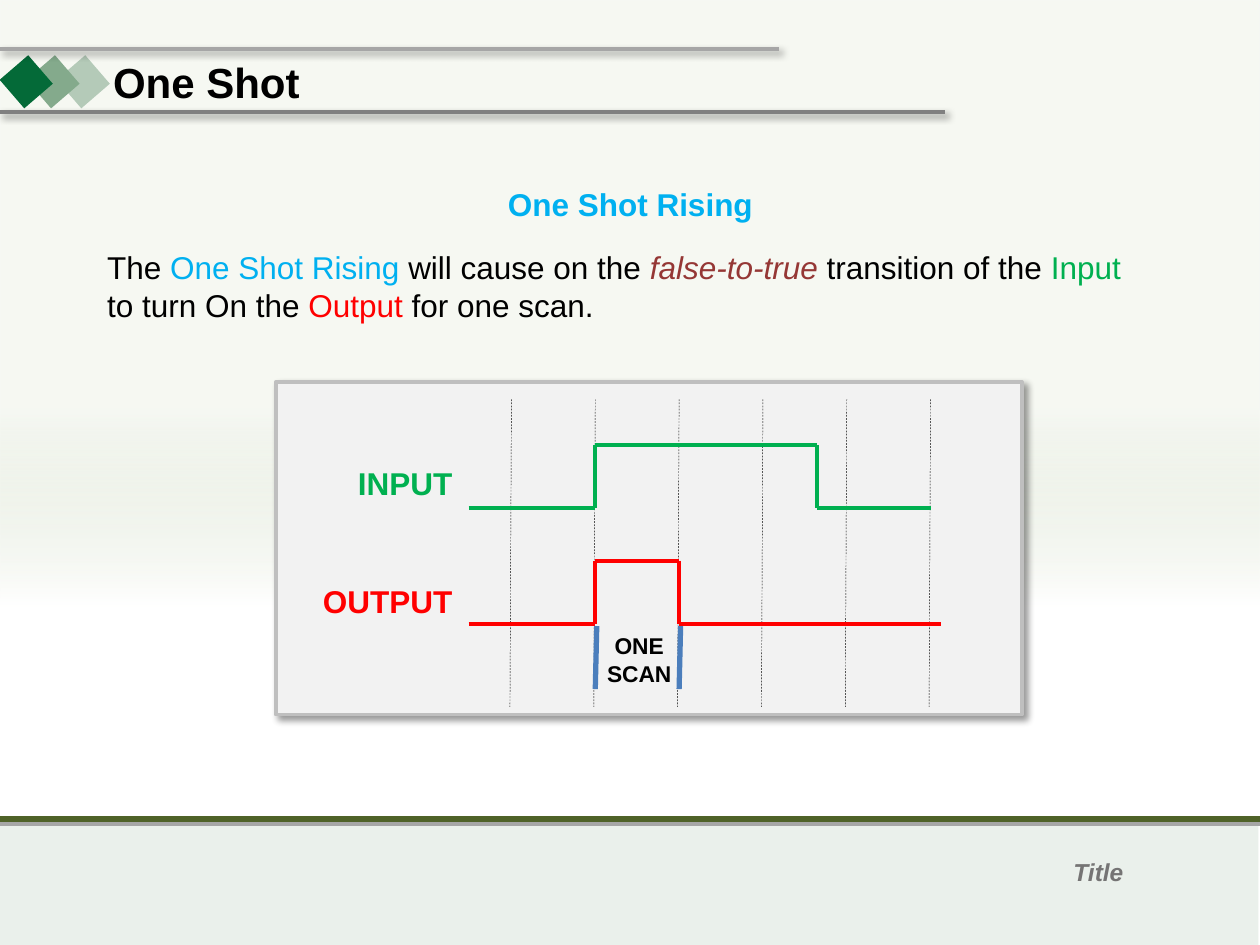
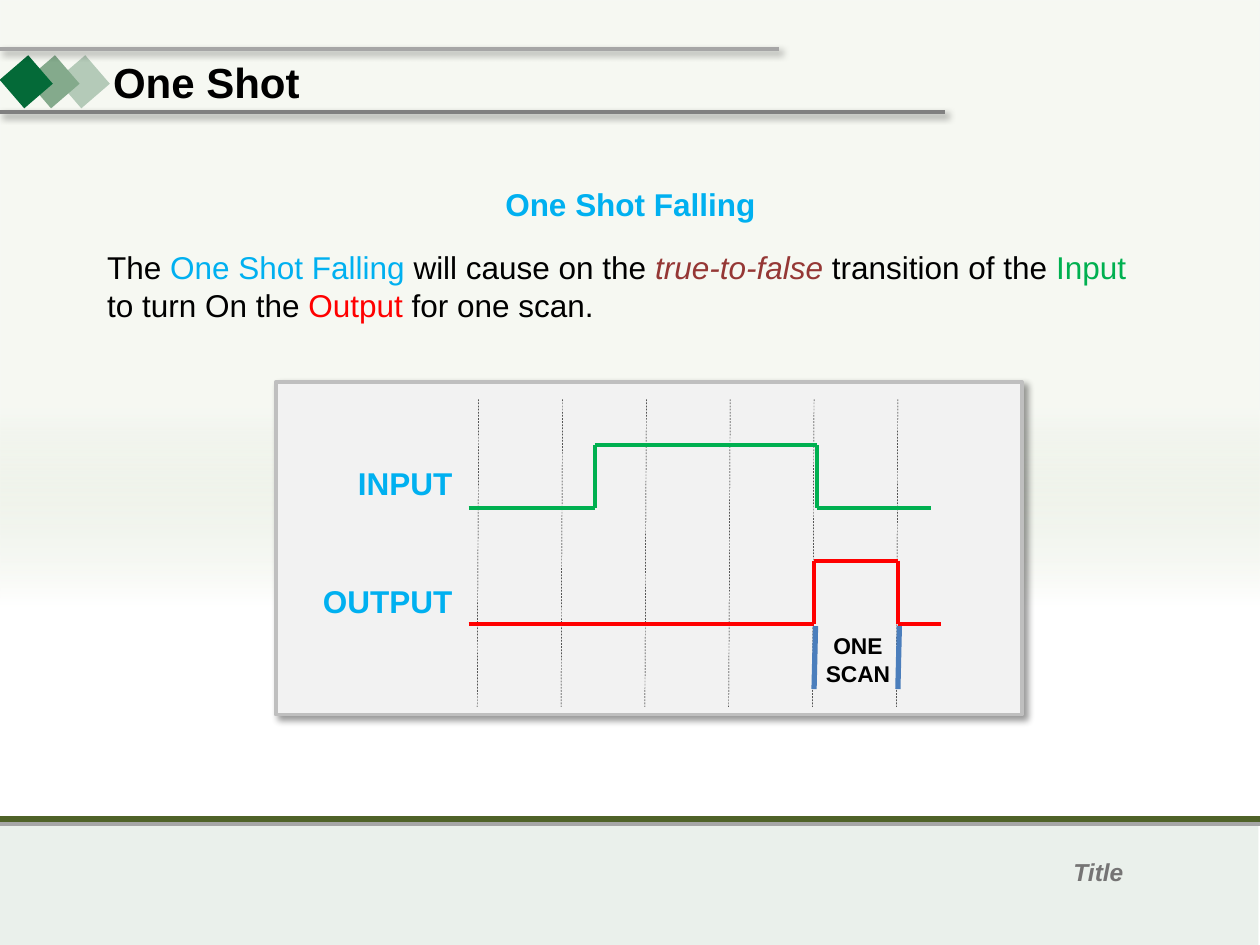
import dataclasses

import lxml.etree
import pptx
import pptx.dml.color
import pptx.enum.dml
import pptx.enum.shapes
import pptx.enum.text
import pptx.oxml
import pptx.oxml.ns
import pptx.util

Cm, Pt = pptx.util.Cm, pptx.util.Pt
ALIGN = pptx.enum.text.PP_ALIGN

TITLE = "One Shot"
FOOTER = "Title"
SCAN_LABEL = ["ONE", "SCAN"]

# "scan" is the number of the interval, counted from 0, in which the output is on.
LESSONS = [
    {"name": "One Shot Rising", "edge": "false-to-true", "grid_start": 10.31, "scan": 1,
     "label_colors": ("input", "output")},
    {"name": "One Shot Falling", "edge": "true-to-false", "grid_start": 9.65, "scan": 4,
     "label_colors": ("accent", "accent")},
]


def explanation(lesson):
    """Runs of the sentence: text, colour name, italic."""
    return [
        ("The ", "text", False),
        (lesson["name"], "accent", False),
        (" will cause on the ", "text", False),
        (lesson["edge"], "edge", True),
        (" transition of the ", "text", False),
        ("Input", "input", False),
        (" to turn On the ", "text", False),
        ("Output", "output", False),
        (" for one scan.", "text", False),
    ]


@dataclasses.dataclass(frozen=True)
class Theme:
    font: str = "Arial"
    title_size: float = 24
    body_size: float = 18
    footer_size: float = 14
    scan_size: float = 13
    text: str = "000000"
    accent: str = "00B0F0"
    edge: str = "953735"
    input: str = "00B050"
    output: str = "FF0000"
    scan_mark: str = "4B7EBC"
    panel: str = "F2F2F2"
    panel_border: str = "BFBFBF"
    light_rule: str = "A6A6A6"
    dark_rule: str = "808080"
    footer_rule: str = "4F6228"
    footer_band: str = "EAF0EB"
    footer_text: str = "757474"
    backdrop: str = "D1DCC3"
    white: str = "FFFFFF"
    diamonds: tuple = ("046A38", "84AA8C", "B4CAB8")


THEME = Theme()

# All lengths below are in centimetres.
WIDTH, HEIGHT = 25.4, 19.05
FOOTER_TOP = 16.51
HEADER_RULES = [(0.99, 15.7, THEME.light_rule), (2.26, 19.05, THEME.dark_rule)]
DIAMOND_LEFTS = (0.15, 0.69, 1.3)
GRID_TOP, GRID_BOTTOM, GRID_PITCH, GRID_LINES = 8.05, 14.25, 1.69, 6
LEAN = 0.03
PULSE_HEIGHT = 1.27
SIGNAL_START = 9.45
INPUT_RISE, INPUT_FALL, INPUT_END, INPUT_LOW = 11.99, 16.47, 18.77, 10.24
OUTPUT_END, OUTPUT_LOW = 18.97, 12.57
SCAN_TOP = 12.62


def rgb(color):
    return pptx.dml.color.RGBColor.from_string(color)


def add_shadow(drawn):
    effects = pptx.oxml.parse_xml(
        f'<a:effectLst {pptx.oxml.ns.nsdecls("a")}>'
        '<a:outerShdw blurRad="50800" dist="38100" dir="2700000" algn="tl" rotWithShape="0">'
        '<a:srgbClr val="000000"><a:alpha val="40000"/></a:srgbClr>'
        '</a:outerShdw></a:effectLst>')
    properties = drawn._element.spPr
    for empty in properties.findall(pptx.oxml.ns.qn("a:effectLst")):
        properties.remove(empty)
    properties.append(effects)


def add_line(slide, start, end, color, width=2.25, dashed=False, shadow=False):
    line = slide.shapes.add_connector(
        pptx.enum.shapes.MSO_CONNECTOR.STRAIGHT, *map(Cm, (*start, *end)))
    line.line.color.rgb = rgb(color)
    line.line.width = Pt(width)
    if dashed:
        line.line.dash_style = pptx.enum.dml.MSO_LINE.DASH
    if shadow:
        add_shadow(line)
    else:
        lxml.etree.SubElement(line._element.spPr, pptx.oxml.ns.qn("a:effectLst"))


def add_rectangle(slide, box, color, border=None):
    rectangle = slide.shapes.add_shape(
        pptx.enum.shapes.MSO_SHAPE.RECTANGLE, *map(Cm, box))
    rectangle.shadow.inherit = False
    rectangle.fill.solid()
    rectangle.fill.fore_color.rgb = rgb(color)
    if border:
        rectangle.line.color.rgb = rgb(border)
        rectangle.line.width = Pt(2)
    else:
        rectangle.line.fill.background()
    return rectangle


def add_text(slide, box, paragraphs, size, wrap=False, align=ALIGN.LEFT, bold=True):
    """Each paragraph is a list of runs: text, colour, italic."""
    frame = slide.shapes.add_textbox(*map(Cm, box)).text_frame
    frame.word_wrap = wrap
    frame.auto_size = pptx.enum.text.MSO_AUTO_SIZE.SHAPE_TO_FIT_TEXT
    for number, runs in enumerate(paragraphs):
        paragraph = frame.add_paragraph() if number else frame.paragraphs[0]
        paragraph.alignment = align
        for text, color, italic in runs:
            run = paragraph.add_run()
            run.text = text
            style = {"name": THEME.font, "size": Pt(size), "bold": bold, "italic": italic}
            for attribute, value in style.items():
                setattr(run.font, attribute, value)
            run.font.color.rgb = rgb(color)


def add_backdrop(slide):
    backdrop = add_rectangle(slide, (0, 0, WIDTH, FOOTER_TOP), THEME.white)
    gradient = pptx.oxml.parse_xml(
        f'<a:gradFill {pptx.oxml.ns.nsdecls("a")} rotWithShape="1"><a:gsLst>'
        f'<a:gs pos="50000"><a:srgbClr val="{THEME.backdrop}"><a:alpha val="20000"/></a:srgbClr></a:gs>'
        f'<a:gs pos="74000"><a:srgbClr val="{THEME.white}"/></a:gs>'
        f'<a:gs pos="100000"><a:srgbClr val="{THEME.white}"/></a:gs>'
        '</a:gsLst><a:lin ang="5400000" scaled="0"/></a:gradFill>')
    properties = backdrop._element.spPr
    properties.replace(properties.find(pptx.oxml.ns.qn("a:solidFill")), gradient)


def add_frame(slide):
    """Footer, backdrop, header and title, the same on every slide."""
    add_rectangle(slide, (-0.03, FOOTER_TOP, WIDTH, HEIGHT - FOOTER_TOP), THEME.footer_band)
    add_backdrop(slide)
    add_line(slide, (0, FOOTER_TOP + 0.1), (WIDTH, FOOTER_TOP + 0.1), THEME.light_rule)
    add_line(slide, (0, FOOTER_TOP), (WIDTH, FOOTER_TOP), THEME.footer_rule, 3)
    add_text(slide, (21.39, 17.15, 1.52, 0.86), [[(FOOTER, THEME.footer_text, True)]],
             THEME.footer_size)
    for left, color in reversed(list(zip(DIAMOND_LEFTS, THEME.diamonds))):
        add_rectangle(slide, (left, 1.27, 0.76, 0.76), color).rotation = 49.2
    for y, end, color in HEADER_RULES:
        add_line(slide, (-0.03, y), (end, y), color, shadow=True)
    add_text(slide, (2.03, 1.02, 4.55, 1.27), [[(TITLE, THEME.text, False)]],
             THEME.title_size, wrap=True)


def add_pulse(slide, rise, fall, end, low, color):
    high = low - PULSE_HEIGHT
    corners = [(SIGNAL_START, low), (rise, low), (rise, high),
               (fall, high), (fall, low), (end, low)]
    for start, stop in zip(corners, corners[1:]):
        add_line(slide, start, stop, color)


def add_timing_diagram(slide, lesson):
    add_shadow(add_rectangle(slide, (5.56, 7.7, 15.04, 6.71), THEME.panel, THEME.panel_border))
    for label, top, color in zip(("INPUT", "OUTPUT"), (9.22, 11.61), lesson["label_colors"]):
        add_text(slide, (6.22, top, 3.15, 1.02), [[(label, getattr(THEME, color), False)]],
                 THEME.body_size, align=ALIGN.RIGHT)

    grid = [lesson["grid_start"] + GRID_PITCH * step for step in range(GRID_LINES)]
    for x in grid:
        add_line(slide, (x, GRID_TOP), (x - LEAN, GRID_BOTTOM), THEME.text, 0.25, dashed=True)

    scan_start, scan_end = grid[lesson["scan"]:lesson["scan"] + 2]
    add_pulse(slide, INPUT_RISE, INPUT_FALL, INPUT_END, INPUT_LOW, THEME.input)
    add_pulse(slide, scan_start, scan_end, OUTPUT_END, OUTPUT_LOW, THEME.output)
    for x in (scan_start, scan_end):
        add_line(slide, (x + LEAN, SCAN_TOP), (x, SCAN_TOP + PULSE_HEIGHT), THEME.scan_mark, 3)
    add_text(slide, (scan_start - 0.03, SCAN_TOP, 1.83, 1.37),
             [[(word, THEME.text, False)] for word in SCAN_LABEL],
             THEME.scan_size, align=ALIGN.CENTER)


def main():
    deck = pptx.Presentation()
    deck.slide_width, deck.slide_height = Cm(WIDTH), Cm(HEIGHT)
    for lesson in LESSONS:
        slide = deck.slides.add_slide(deck.slide_layouts[6])
        add_frame(slide)
        add_text(slide, (9.91, 3.61, 5.6, 1.02), [[(lesson["name"], THEME.accent, False)]],
                 THEME.body_size, align=ALIGN.CENTER)
        sentence = [(text, getattr(THEME, color), italic)
                    for text, color, italic in explanation(lesson)]
        add_text(slide, (1.91, 4.88, 21.59, 1.8), [sentence], THEME.body_size,
                 wrap=True, bold=False)
        add_timing_diagram(slide, lesson)
    deck.save("out.pptx")


if __name__ == "__main__":
    main()
